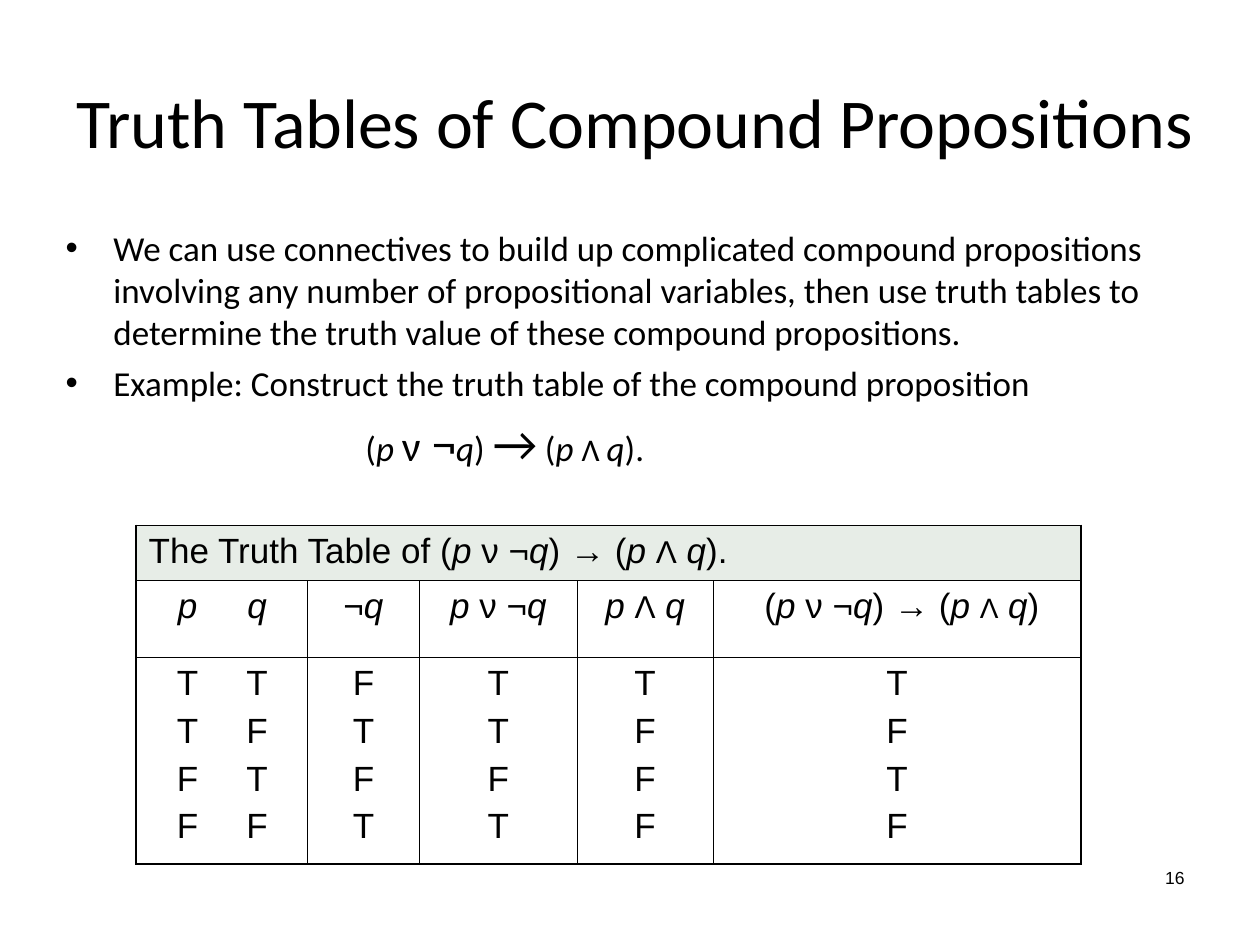
"""Build a slide on truth tables of compound propositions."""
from dataclasses import dataclass

from pptx import Presentation
from pptx.dml.color import RGBColor
from pptx.enum.text import MSO_ANCHOR, MSO_AUTO_SIZE, PP_ALIGN
from pptx.oxml.ns import qn
from pptx.util import Inches, Pt
from lxml.etree import SubElement


@dataclass(frozen=True)
class Theme:
    """Colours, fonts and type sizes in points."""
    ink: RGBColor = RGBColor(0, 0, 0)
    band: RGBColor = RGBColor(0xE7, 0xED, 0xE7)
    heading_font: str = "Calibri"
    table_font: str = "Arial"
    title: int = 40
    body: int = 20
    large: int = 28
    medium: int = 24
    small: int = 18
    tiny: int = 16
    number: int = 10
    gap: int = 5
    thick: float = 1.08
    thin: float = 0.45


THEME = Theme()
ITALIC = {"italic": True}
P, Q = ("p ", ITALIC), ("q", ITALIC)
SMALL_AND = ("Λ", {"size": Pt(THEME.small)})
TINY_AND = ("Λ", {"size": Pt(THEME.tiny)})
LARGE = {"size": Pt(THEME.large)}

BULLETS = [
    "We can use connectives to build up complicated compound propositions involving any number "
    "of propositional variables, then use truth tables to determine the truth value of these "
    "compound propositions.",
    "Example: Construct the truth table of the compound proposition",
]
FORMULA = ["(", P, ("ν", {"size": Pt(THEME.medium)}), (" ¬", LARGE), Q, ") ", ("→", LARGE),
           " (", P, ("Λ ", {"size": Pt(THEME.small)}), Q, ")."]
OR_PART = [P, "ν ¬", Q]
CAPTION = ["The Truth Table of (", *OR_PART, ") → (", P, SMALL_AND, " ", Q, ")."]
HEADINGS = [
    ["\t", ("p", ITALIC), "\t", Q],
    ["¬", Q],
    OR_PART,
    [P, SMALL_AND, " ", Q],
    [" (", *OR_PART, ") → (", P, TINY_AND, " ", Q, ")"],
]
VALUES = [
    ["\tT\tT", "\tT\tF", "\tF\tT", "\tF\tF"],
    "FTFT",
    "TTFT",
    "TFFF",
    "TFTF",
]
COLUMN_WIDTHS = [1.36, 0.89, 1.25, 1.08, 2.92]
ROW_HEIGHTS = [0.44, 0.61, 1.64]
PAIR_STOPS = [0.31, 0.86]


def set_values(target, values):
    """Set each named value on the target."""
    for name, value in values.items():
        setattr(target, name, value)


def write_spans(para, spans, font_name, size):
    """Write plain or formatted spans into a paragraph."""
    for item in spans:
        text, extra = (item, {}) if isinstance(item, str) else item
        span = para.add_run()
        span.text = text
        set_values(span.font, {"name": font_name, "size": Pt(size), "italic": False, **extra})
        span.font.color.rgb = THEME.ink


def write_paragraphs(frame, paragraphs, font_name, size, align):
    """Fill a text frame with evenly spaced paragraphs and return them."""
    for index, spans in enumerate(paragraphs):
        para = frame.add_paragraph() if index else frame.paragraphs[0]
        set_values(para, {"alignment": align, "space_before": Pt(THEME.gap if index else 0)})
        write_spans(para, spans, font_name, size)
    return frame.paragraphs


def place(box, left, top, width, height):
    """Position a box and let its text wrap at a fixed size."""
    set_values(box, {"left": Inches(left), "top": Inches(top),
                     "width": Inches(width), "height": Inches(height)})
    set_values(box.text_frame, {"word_wrap": True, "auto_size": MSO_AUTO_SIZE.NONE})
    return box.text_frame


def set_indent(para, margin, first_line):
    """Set the left margin and first-line indent of a paragraph."""
    properties = para._p.get_or_add_pPr()
    properties.set("marL", str(Inches(margin)))
    properties.set("indent", str(Inches(first_line)))
    return properties


def add_title(page):
    """Write the slide title."""
    frame = place(page.shapes.title, 0.25, 0.33, 9.58, 1.25)
    frame.vertical_anchor = MSO_ANCHOR.MIDDLE
    write_paragraphs(frame, [["Truth Tables of Compound Propositions"]],
                     THEME.heading_font, THEME.title, PP_ALIGN.CENTER)


def add_body(page):
    """Write the bullets and the indented formula."""
    frame = place(page.placeholders[1], 0.42, 1.75, 8.92, 2.75)
    *bullets, formula = write_paragraphs(frame, [*([text] for text in BULLETS), FORMULA],
                                         THEME.heading_font, THEME.body, PP_ALIGN.LEFT)
    for para in bullets:
        set_indent(para, 0.38, -0.38)
    SubElement(set_indent(formula, 2.38, 0), qn("a:buNone"))


def set_borders(cell, outer_sides):
    """Draw thick borders on outer sides and thin ones elsewhere."""
    properties = cell._tc.get_or_add_tcPr()
    for side in "LRTB":
        width = THEME.thick if side in outer_sides else THEME.thin
        line = SubElement(properties, qn(f"a:ln{side}"), w=str(Pt(width)))
        fill = SubElement(line, qn("a:solidFill"))
        SubElement(fill, qn("a:srgbClr"), val=str(THEME.ink))


def set_pair_stops(para):
    """Centre two letters on their own tab stops."""
    para.alignment = PP_ALIGN.LEFT
    stops = SubElement(para._p.get_or_add_pPr(), qn("a:tabLst"))
    for position in PAIR_STOPS:
        SubElement(stops, qn("a:tab"), pos=str(Inches(position)), algn="ctr")


def style_cell(cell, row, column):
    """Set the borders and fill of a table cell."""
    last_row, last_column = len(ROW_HEIGHTS) - 1, len(COLUMN_WIDTHS) - 1
    edges = {"L": column == 0, "R": column == last_column or row == 0,
             "T": row == 0, "B": row == last_row}
    set_borders(cell, [side for side, outer in edges.items() if outer])
    if row == 0:
        cell.fill.solid()
        cell.fill.fore_color.rgb = THEME.band
    else:
        cell.fill.background()


def add_truth_table(page):
    """Add the captioned truth table."""
    table = page.shapes.add_table(len(ROW_HEIGHTS), len(COLUMN_WIDTHS), Inches(1.08), Inches(4.17),
                                  Inches(sum(COLUMN_WIDTHS)), Inches(sum(ROW_HEIGHTS))).table
    set_values(table, {"first_row": False, "horz_banding": False})
    for column, width in zip(table.columns, COLUMN_WIDTHS):
        column.width = Inches(width)
    for row, height in zip(table.rows, ROW_HEIGHTS):
        row.height = Inches(height)
    table.cell(0, 0).merge(table.cell(0, len(COLUMN_WIDTHS) - 1))
    for row in range(len(ROW_HEIGHTS)):
        for column in range(len(COLUMN_WIDTHS)):
            style_cell(table.cell(row, column), row, column)
    write_paragraphs(table.cell(0, 0).text_frame, [CAPTION],
                     THEME.table_font, THEME.body, PP_ALIGN.LEFT)
    for column, (heading, values) in enumerate(zip(HEADINGS, VALUES)):
        for row, paragraphs in enumerate([[heading], [[value] for value in values]], 1):
            paras = write_paragraphs(table.cell(row, column).text_frame, paragraphs,
                                     THEME.table_font, THEME.body, PP_ALIGN.CENTER)
            if column == 0:
                for para in paras:
                    set_pair_stops(para)


def add_page_number(page):
    """Write the page number at the lower right."""
    frame = place(page.shapes.add_textbox(0, 0, 0, 0), 7.17, 6.83, 2.33, 0.5)
    write_paragraphs(frame, [["16"]], THEME.table_font, THEME.number, PP_ALIGN.RIGHT)


def main():
    """Build and save the deck."""
    deck = Presentation()
    set_values(deck, {"slide_width": Inches(10), "slide_height": Inches(7.5)})
    page = deck.slides.add_slide(deck.slide_layouts[1])
    for add_part in (add_title, add_body, add_truth_table, add_page_number):
        add_part(page)
    deck.save("out.pptx")


if __name__ == "__main__":
    main()
